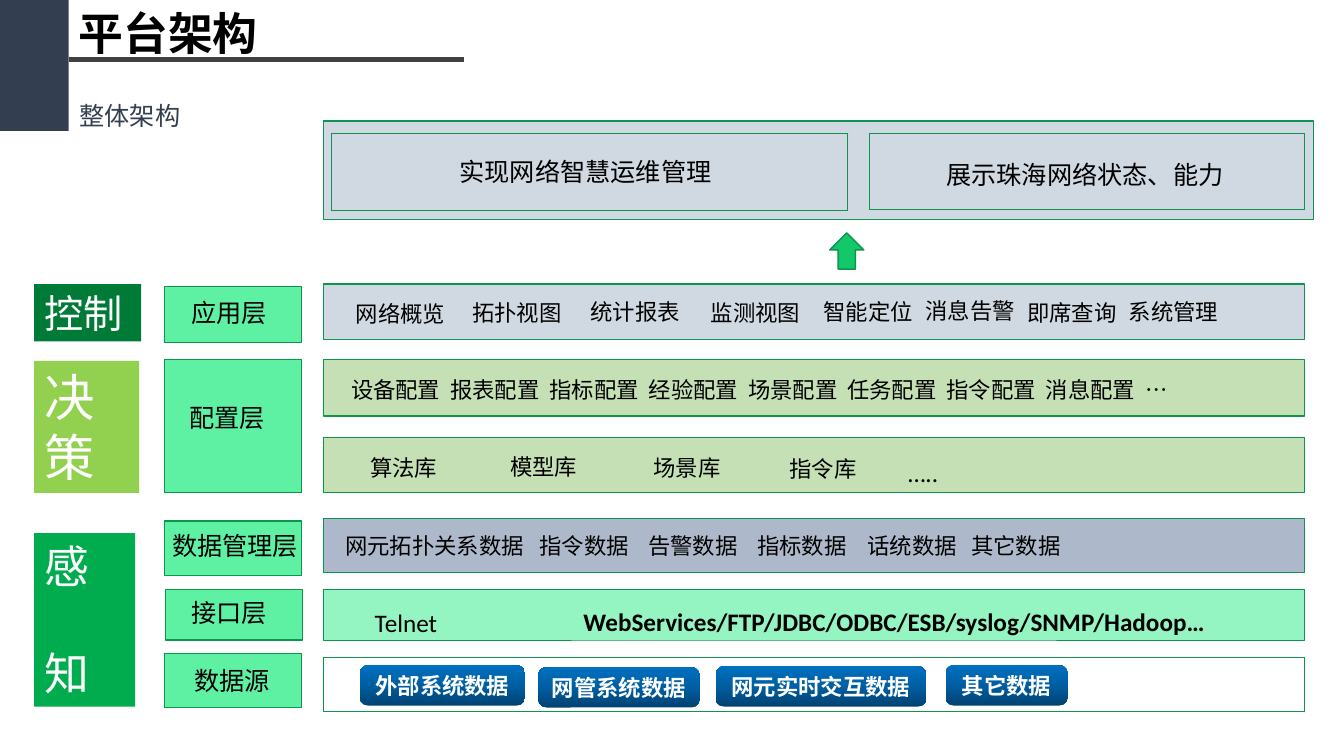
import copy

import lxml.etree
import pptx
import pptx.dml.color
import pptx.enum.dml
import pptx.enum.shapes
import pptx.enum.text
import pptx.oxml.ns
import pptx.util

Pt = pptx.util.Pt
SHAPES = pptx.enum.shapes.MSO_SHAPE
ALIGN = pptx.enum.text.PP_ALIGN
qn = pptx.oxml.ns.qn


def colour(value):
    return pptx.dml.color.RGBColor.from_string(value)


class Diagram:
    cjk = "Noto Sans CJK SC"
    latin = "Calibri"
    edge = "0D944E"
    label_height = 28.8

    def __init__(self, page):
        self.page = page

    def set_text(self, shape, text, size, ink="000000", bold=False, font=cjk,
                 align=ALIGN.LEFT, gap=0, tabs=()):
        shape.text_frame.text = text
        for index, para in enumerate(shape.text_frame.paragraphs):
            para.alignment = align
            if index:
                para.space_before = Pt(gap)
            if tabs:
                tab_list = lxml.etree.SubElement(para._p.get_or_add_pPr(), qn("a:tabLst"))
                for stop in tabs:
                    lxml.etree.SubElement(tab_list, qn("a:tab"), pos=str(Pt(stop)), algn="l")
            for span in para.runs:
                span.font.size = Pt(size)
                span.font.bold = bold
                span.font.name = font
                span.font.color.rgb = colour(ink)
                east_asian = lxml.etree.SubElement(span.font._element, qn("a:ea"))
                east_asian.set("typeface", self.cjk)

    def shape(self, left, top, width, height, fill=None, line=None, dotted=False,
              kind=SHAPES.RECTANGLE):
        shape = self.page.shapes.add_shape(kind, Pt(left), Pt(top), Pt(width), Pt(height))
        shape.shadow.inherit = False
        if fill:
            shape.fill.solid()
            shape.fill.fore_color.rgb = colour(fill)
        else:
            shape.fill.background()
        if line:
            shape.line.color.rgb = colour(self.edge)
            shape.line.width = Pt(line)
            if dotted:
                shape.line.dash_style = pptx.enum.dml.MSO_LINE.ROUND_DOT
        else:
            shape.line.fill.background()
        return shape

    def text(self, left, top, width, text, size=18, height=label_height, **style):
        box = self.page.shapes.add_textbox(Pt(left), Pt(top), Pt(width), Pt(height))
        box.text_frame.word_wrap = True
        self.set_text(box, text, size, **style)

    def block(self, left, top, width, height, fill, text, size, gap=0):
        block = self.shape(left, top, width, height, fill)
        block.text_frame.word_wrap = True
        block.text_frame.vertical_anchor = pptx.enum.text.MSO_ANCHOR.TOP
        self.set_text(block, text, size, "FFFFFF", font=self.latin, gap=gap)

    def label(self, left, top, width, text, align=ALIGN.CENTER, inset=2.9, **style):
        label = self.shape(left, top, width, self.label_height,
                           kind=SHAPES.ROUNDED_RECTANGLE)
        label.adjustments[0] = 0.2
        frame = label.text_frame
        frame.word_wrap = False
        frame.vertical_anchor = pptx.enum.text.MSO_ANCHOR.MIDDLE
        frame.margin_top = frame.margin_right = frame.margin_bottom = Pt(2.9)
        frame.margin_left = Pt(inset)
        self.set_text(label, text, 16, align=align, **style)
        return label

    def button(self, left, top, width, text):
        fill = self.label(left, top, width, text, ink="FFFFFF", bold=True).fill
        fill.gradient()
        fill.gradient_angle = 90
        stops = fill._xPr.find(qn("a:gradFill")).find(qn("a:gsLst"))
        stops.insert(1, copy.deepcopy(stops[0]))
        shades = ((0, "004272"), (0.5, "005EA2"), (1, "0070C0"))
        for stop, (position, shade) in zip(fill.gradient_stops, shades):
            stop.position = position
            stop.color.rgb = colour(shade)

    def rule(self, left, top, right, ink, width):
        line = self.page.shapes.add_connector(
            pptx.enum.shapes.MSO_CONNECTOR.STRAIGHT, Pt(left), Pt(top), Pt(right), Pt(top))
        line.line.color.rgb = colour(ink)
        line.line.width = Pt(width)
        lxml.etree.SubElement(line._element.spPr, qn("a:effectLst"))


deck = pptx.Presentation()
deck.slide_width, deck.slide_height = Pt(960), Pt(540)
diagram = Diagram(deck.slides.add_slide(deck.slide_layouts[6]))

# Heading
diagram.shape(0, 0, 49, 93.6, "333F50")
diagram.rule(49, 42.5, 331.2, "404040", 3)
diagram.text(49, 0.7, 144.7, "平台架构", 32, 46, bold=True)
diagram.text(49.7, 68.4, 310.3, "整体架构", ink="333F50", font=diagram.latin)

# Goals
diagram.shape(231.1, 86.4, 707, 70.6, "D0D8E1", 1)
diagram.shape(236.9, 95, 368.6, 55.4, line=0.25, dotted=True)
diagram.shape(620.6, 95, 311, 54.7, line=0.25, dotted=True)
diagram.text(321.1, 108, 205.9, "实现网络智慧运维管理")
diagram.text(668.9, 110.2, 236.9, "展示珠海网络状态、能力")
diagram.shape(592.6, 166.3, 24.5, 25.9, "12C869", 1, kind=SHAPES.UP_ARROW)

# Bands behind each layer: top, height, fill, line width
for top, height, fill, line in (
        (203, 39.6, "D0D8E1", 1), (257, 40.3, "C5E0B4", 1),
        (312.5, 38.9, "C5E0B4", 0.25), (370.1, 38.9, "ADB9CA", 0.25),
        (421.2, 36, "94F5C2", 0.25), (469.4, 38.9, None, 0.25)):
    diagram.shape(231.1, top, 700.6, height, fill, line, dotted=fill is None)

# Layer names: box left, top, height, then label left, top, width
for left, top, height, text_left, text_top, text_width, name in (
        (117.4, 204.5, 40.3, 129.6, 208.8, 77.8, "应用层"),
        (117.4, 257, 95, 128.2, 283.7, 71.3, "配置层"),
        (117.4, 372.2, 38.9, 115.9, 375.1, 120.2, "数据管理层"),
        (118.1, 421.2, 36, 129.6, 423.4, 74.2, "接口层"),
        (117.4, 466.6, 38.9, 131.8, 471.6, 87.1, "数据源")):
    diagram.shape(left, top, 97.9, height, "5EF1A4", 1)
    diagram.text(text_left, text_top, text_width, name)

# Stages
diagram.block(24.5, 203, 76.3, 41, "007A37", "控制", 28)
diagram.block(24.5, 257.8, 74.9, 94.3, "92D050", "决策", 36)
diagram.block(24.5, 380.9, 72, 123.8, "00AC4E", "感\n知", 32, gap=38)

# Application and library entries
for left, top, width, name in (
        (244.1, 209.5, 84.2, "网络概览"), (331.2, 208.8, 76.3, "拓扑视图"),
        (412.6, 208.1, 82.1, "统计报表"), (499.7, 208.8, 79.9, "监测视图"),
        (585.4, 208.1, 69.8, "智能定位"), (658.1, 207.4, 69.8, "消息告警"),
        (730.8, 208.8, 69.8, "即席查询"), (803.5, 208.1, 69.8, "系统管理"),
        (246.2, 319.7, 84.2, "算法库"), (346.3, 319, 84.2, "模型库"),
        (448.6, 319.7, 84.2, "场景库"), (545.8, 320.4, 84.2, "指令库")):
    diagram.label(left, top, width, name)
diagram.text(641.5, 323.3, 108.7, "…..", font=diagram.latin)

# Configuration and data entries
settings = ("设备配置", "报表配置", "指标配置", "经验配置", "场景配置",
            "任务配置", "指令配置", "消息配置", "…")
diagram.label(246.2, 264.2, 655.9, "\t".join(settings), ALIGN.LEFT,
              tabs=[70.9 * step for step in range(1, len(settings))])
data_kinds = ("网元拓扑关系数据", "指令数据", "告警数据", "指标数据", "话统数据", "其它数据")
diagram.label(231.8, 375.1, 687.6, "\t".join(data_kinds), ALIGN.LEFT, inset=13.2,
              tabs=(138.6, 216.4, 294.3, 372.9, 447.1))

# Interfaces
diagram.text(260.6, 430.6, 142.6, "Telnet", font=diagram.latin)
diagram.text(409.7, 429.8, 468.7, "WebServices/FTP/JDBC/ODBC/ESB/syslog/SNMP/Hadoop…",
             bold=True, font=diagram.latin)

# Data sources
for left, top, width, name in (
        (257, 475.2, 118.1, "外部系统数据"), (384.5, 476.6, 115.2, "网管系统数据"),
        (511.2, 475.9, 150.5, "网元实时交互数据"), (675.4, 475.2, 87.1, "其它数据")):
    diagram.button(left, top, width, name)

deck.save("out.pptx")
